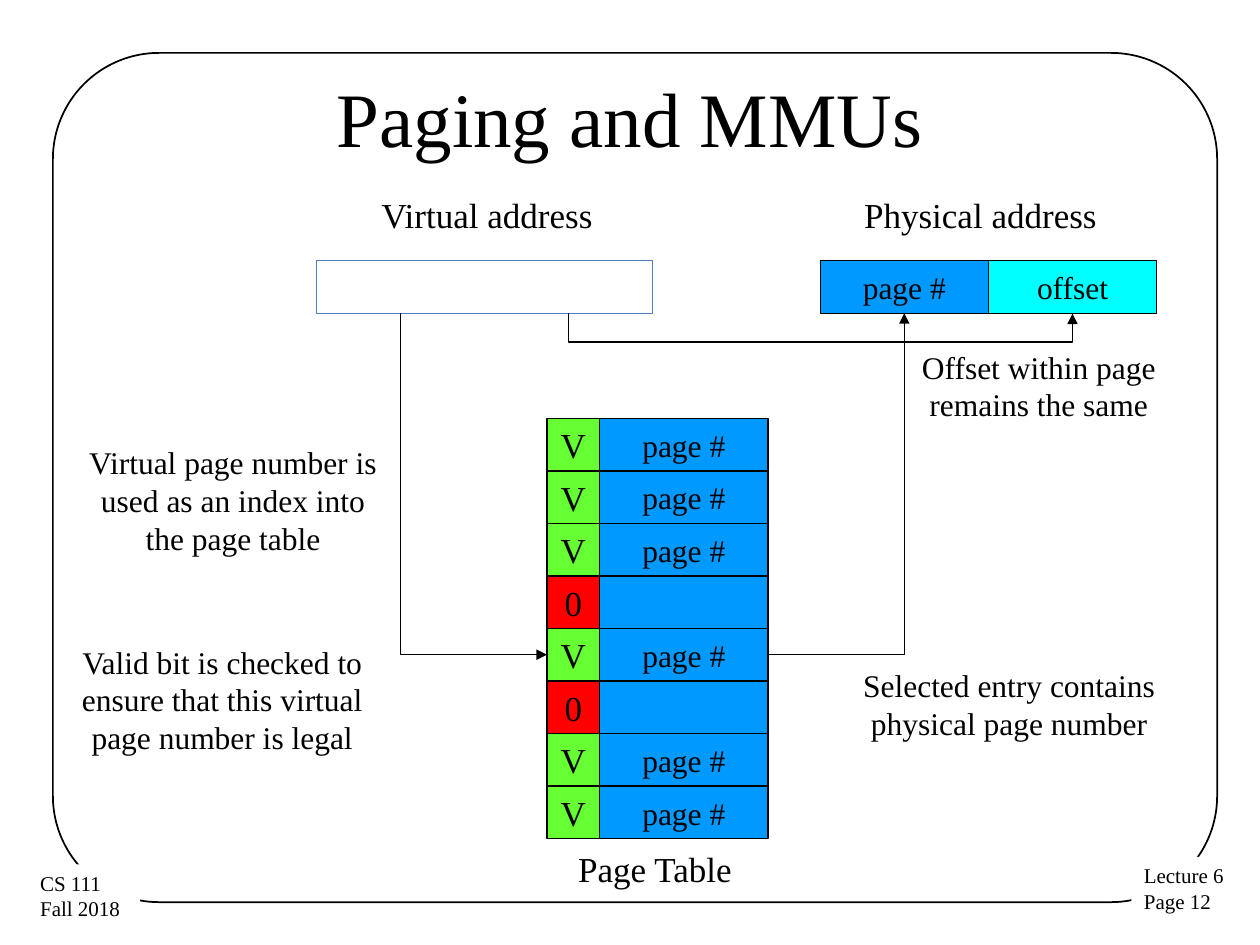
from pptx import Presentation, util as u
from pptx.dml.color import RGBColor
from pptx.enum import shapes, text
from pptx.oxml import parse_xml
from pptx.oxml.ns import nsdecls, qn

# Content
BLACK, WHITE, BLUE, CYAN, GREEN, RED = "000000", "FFFFFF", "0099FF", "00FFFF", "66FF33", "FF0000"
TITLE = "Paging and MMUs"
PAGE = "page #"
VALID_BITS = "VVV0V0VV"
CORNERS = [  # lines, box
    (["Lecture 6", "Page 12"], (8.98, 6.8, 0.85, 0.51)),
    (["CS 111", "Fall 2018"], (0.22, 6.86, 0.89, 0.51)),
]
LABELS = [
    ("Virtual address", (2.93, 1.49, 1.9, 0.44)),
    ("Physical address", (6.76, 1.49, 2.06, 0.44)),
    ("Page Table", (4.49, 6.68, 1.44, 0.44)),
]
NOTES = [
    ("Virtual page number is used as an index into the page table", (0.6, 3.47, 2.5, 1.01)),
    ("Selected entry contains physical page number", (6.68, 5.24, 2.66, 0.71)),
    ("Offset within page remains the same", (6.91, 2.71, 2.67, 0.71)),
    ("Valid bit is checked to ensure that this virtual page number is legal", (0.43, 5.05, 2.67, 1.01)),
]

# Grid
FIELD_W, CELL_H, BIT_W = 1.335, 0.417, 0.42
VIRTUAL_X, PHYSICAL_X, ADDRESS_Y = 2.51, 6.51, 2.07
TABLE_X, TABLE_Y = 4.34, 3.32
ENTRY_X = TABLE_X + BIT_W
ADDRESS_BOTTOM = ADDRESS_Y + CELL_H
SELECTED_Y = TABLE_Y + 4.5 * CELL_H

presentation = Presentation()
presentation.slide_width, presentation.slide_height = u.Inches(10), u.Inches(7.5)
slide = presentation.slides.add_slide(presentation.slide_layouts[6])


def color(value):
    return RGBColor.from_string(value)


def write(shape, lines, size, align="CENTER", anchor="MIDDLE", wrap=False):
    frame = shape.text_frame
    settings = {"word_wrap": wrap, "vertical_anchor": text.MSO_ANCHOR[anchor]}
    for name, value in settings.items():
        setattr(frame, name, value)
    for index, line in enumerate(lines):
        paragraph = frame.add_paragraph() if index else frame.paragraphs[0]
        paragraph.alignment = text.PP_ALIGN[align]
        run = paragraph.add_run()
        run.text = line
        run.font.color.rgb = color(BLACK)
        for name, value in {"size": u.Pt(size), "name": "Times New Roman"}.items():
            setattr(run.font, name, value)


def add_box(box, fill=None, line=BLACK, width=0.75, kind="RECTANGLE"):
    shape = slide.shapes.add_shape(shapes.MSO_SHAPE[kind], *map(u.Inches, box))
    shape.shadow.inherit = False
    if fill:
        shape.fill.solid()
        shape.fill.fore_color.rgb = color(fill)
    else:
        shape.fill.background()
    if line:
        shape.line.color.rgb = color(line)
        shape.line.width = u.Pt(width)
    else:
        shape.line.fill.background()
    return shape


def add_text(lines, box, size, **settings):
    write(slide.shapes.add_textbox(*map(u.Inches, box)), lines, size, **settings)


def add_elbow(start, end, preset, turned, flip, bend=None):
    """Elbow arrow; a turned one leaves its start vertically."""
    (x1, y1), (x2, y2) = start, end
    width, height = abs(x2 - x1), abs(y2 - y1)
    left, top = min(x1, x2), min(y1, y2)
    if turned:
        left, top = left + (width - height) / 2, top + (height - width) / 2
        width, height = height, width
    connector = slide.shapes.add_connector(shapes.MSO_CONNECTOR.ELBOW, 0, 0, 0, 0)
    for name, value in zip(("left", "top", "width", "height"), (left, top, width, height)):
        setattr(connector, name, u.Inches(value))
    connector.rotation = 270 if turned else 0
    connector.line.color.rgb = color(BLACK)
    connector.line.width = u.Pt(0.75)
    properties = connector._element.spPr
    properties.find(qn("a:xfrm")).set(flip, "1")
    geometry = properties.find(qn("a:prstGeom"))
    geometry.set("prst", preset)
    if bend:
        guides = geometry.find(qn("a:avLst"))
        guides.append(parse_xml(
            f'<a:gd {nsdecls("a")} name="adj1" fmla="val {round(bend / width * 100000)}"/>'))
    connector.line._get_or_add_ln().append(parse_xml(f'<a:tailEnd {nsdecls("a")} type="triangle"/>'))
    properties.append(parse_xml(f'<a:effectLst {nsdecls("a")}/>'))


# Frame, corner captions and title
frame_shape = add_box((0.42, 0.42, 9.24, 6.74), width=1, kind="ROUNDED_RECTANGLE")
frame_shape.adjustments[0] = 0.125
for lines, box in CORNERS:
    write(add_box(box, WHITE, None), lines, 12, align="LEFT", anchor="TOP")
add_text([TITLE], (0.5, 0.3, 9, 1.25), 44, wrap=True)

# Addresses
add_box((VIRTUAL_X, ADDRESS_Y, 2 * FIELD_W, CELL_H), WHITE, "4B7EBC")
for index, (label, fill) in enumerate([(PAGE, BLUE), ("offset", CYAN)]):
    write(add_box((PHYSICAL_X + index * FIELD_W, ADDRESS_Y, FIELD_W, CELL_H), fill), [label], 18)

# Page table
for row, bit in enumerate(VALID_BITS):
    y = TABLE_Y + row * CELL_H
    valid = bit == "V"
    entry = add_box((ENTRY_X, y, FIELD_W, CELL_H), BLUE)
    if valid:
        write(entry, [PAGE], 18)
    write(add_box((TABLE_X, y, BIT_W, CELL_H), GREEN if valid else RED), [bit], 20)

# Arrows
offset_x = PHYSICAL_X + 1.5 * FIELD_W
add_elbow((VIRTUAL_X + FIELD_W / 2, ADDRESS_BOTTOM), (TABLE_X, SELECTED_Y),
          "bentConnector2", True, "flipH")
add_elbow((ENTRY_X + FIELD_W, SELECTED_Y), (PHYSICAL_X + FIELD_W / 2, ADDRESS_BOTTOM),
          "bentConnector2", False, "flipV")
add_elbow((VIRTUAL_X + 1.5 * FIELD_W, ADDRESS_BOTTOM), (offset_x, ADDRESS_BOTTOM + 0.002),
          "bentConnector3", True, "flipH", bend=0.23)

# Labels and notes
for label, box in LABELS:
    add_text([label], box, 20, align="LEFT", anchor="TOP")
for note, box in NOTES:
    add_text([note], box, 18, anchor="TOP", wrap=True)

presentation.save("out.pptx")
